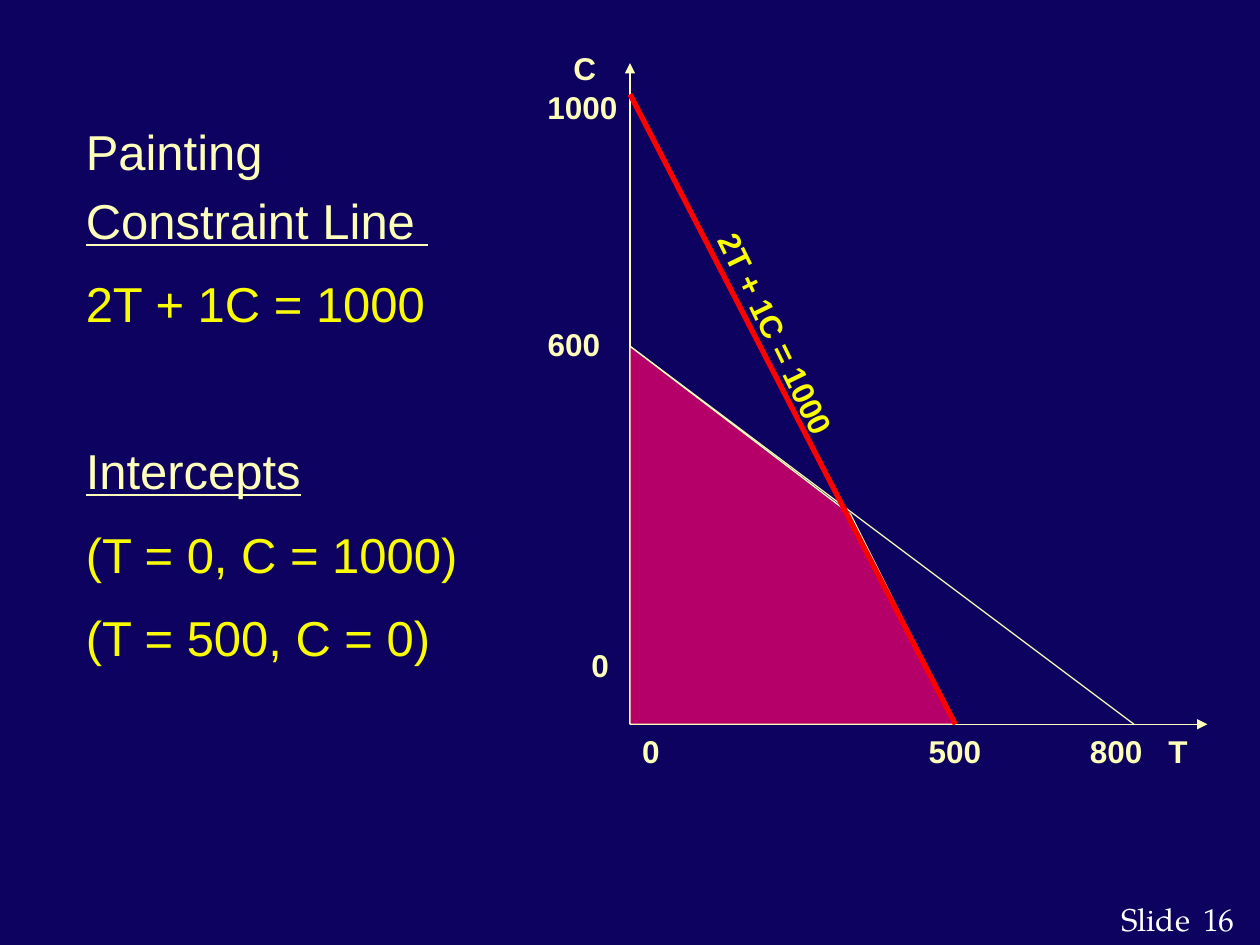
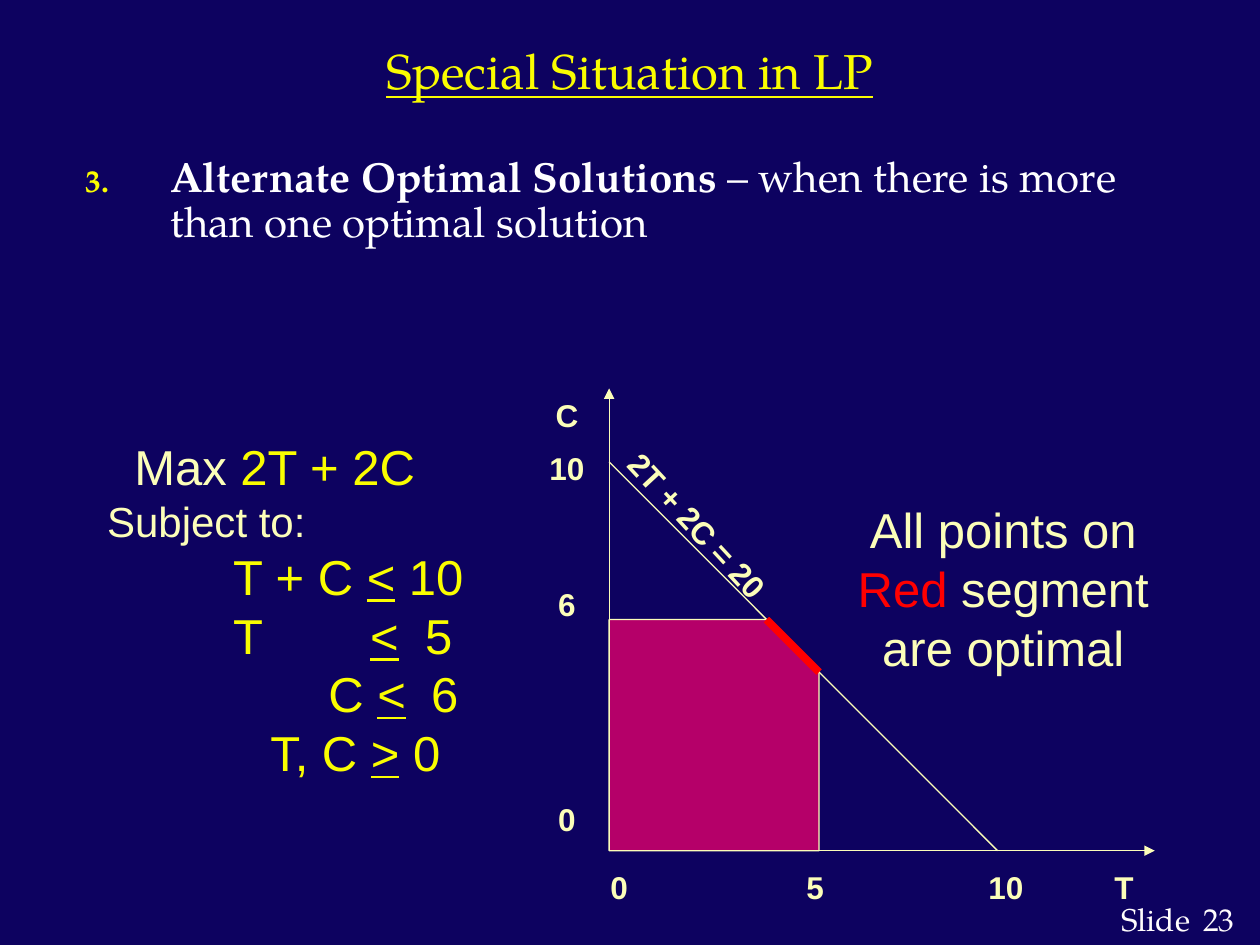
from lxml import etree
from pptx import Presentation
from pptx import util as u
from pptx.dml.color import RGBColor
from pptx.enum import shapes, text
from pptx.oxml import ns

Cm, Pt = u.Cm, u.Pt
NAVY, CREAM, YELLOW = "0D0260", "FCFEB9", "FAFD00"
MAGENTA, RED, WHITE, FOOTER = "B50069", "FF0000", "FFFFFF", "FFFCFD"
SANS, SERIF = "Arial", "TeX Gyre Pagella"
LEFT, CENTER = text.PP_ALIGN.LEFT, text.PP_ALIGN.CENTER


def color(hex_code):
    return RGBColor.from_string(hex_code)


def add_xml(parent, tag, **attributes):
    return etree.SubElement(parent, ns.qn(tag), attributes)


def add_span(para, words, hex_code=CREAM, size=28, font=SANS, bold=False, underline=False):
    span = para.add_run()
    span.text = words
    span.font.name, span.font.size = font, Pt(size)
    span.font.bold, span.font.underline = bold, underline
    span.font.color.rgb = color(hex_code)


def add_box(page, left, top, width, height, anchor=text.MSO_ANCHOR.TOP):
    box = page.shapes.add_textbox(Cm(left), Cm(top), Cm(width), Cm(height))
    frame = box.text_frame
    frame.word_wrap = True
    frame.vertical_anchor = anchor
    frame.margin_left = frame.margin_right = frame.margin_top = frame.margin_bottom = 0
    return box


def add_para(box, align=LEFT, space_before=0):
    """Return the box's empty first paragraph, or a new one after it."""
    frame = box.text_frame
    para = frame.paragraphs[0]
    if para.runs:
        para = frame.add_paragraph()
    para.alignment, para.space_before = align, Pt(space_before)
    return para


def add_label(page, words, x, y, hex_code=CREAM, font=SANS, bold=True, angle=0):
    """Place one line of text centred on (x, y)."""
    width, height = (5, 0.8) if angle else (1.6, 0.8)
    box = add_box(page, x - width / 2, y - height / 2, width, height, text.MSO_ANCHOR.MIDDLE)
    box.rotation = angle
    add_span(add_para(box, CENTER), words, hex_code, 18, font, bold)


def add_line(page, start, end, hex_code=CREAM, width=0.75, arrow=False):
    points = [Cm(value) for value in (*start, *end)]
    line = page.shapes.add_connector(shapes.MSO_CONNECTOR.STRAIGHT, *points)
    line.line.color.rgb, line.line.width = color(hex_code), Pt(width)
    if arrow:
        add_xml(line.line._get_or_add_ln(), "a:tailEnd", type="triangle", w="med", len="med")
    add_xml(line._element.spPr, "a:effectLst")


def add_axes(page, origin, right, top):
    add_line(page, origin, (right, origin[1]), arrow=True)
    add_line(page, origin, (origin[0], top), arrow=True)


def add_region(page, corners):
    points = [(Cm(x), Cm(y)) for x, y in corners]
    builder = page.shapes.build_freeform(*points[0])
    builder.add_line_segments(points[1:], close=True)
    region = builder.convert_to_shape()
    region.shadow.inherit = False
    region.fill.solid()
    region.fill.fore_color.rgb = color(MAGENTA)
    region.line.color.rgb, region.line.width = color(CREAM), Pt(0.75)


def add_tabbed_row(box, stops, *spans):
    """Add a yellow row whose tabs stop at the given positions."""
    para = add_para(box)
    tabs = add_xml(para._p.get_or_add_pPr(), "a:tabLst")
    for stop in stops:
        add_xml(tabs, "a:tab", pos=str(Cm(stop)), algn="l")
    for words in spans:
        add_span(para, words, YELLOW, underline=words in ("<", ">"))


def add_numbered_para(box, number, indent):
    para = add_para(box)
    para.line_spacing = 0.9
    props = para._p.get_or_add_pPr()
    props.set("marL", str(Cm(indent)))
    props.set("indent", str(-Cm(indent)))
    add_xml(add_xml(props, "a:buClr"), "a:srgbClr", val=YELLOW)
    add_xml(props, "a:buSzPct", val="75000")
    add_xml(props, "a:buFont", typeface=SERIF)
    add_xml(props, "a:buAutoNum", type="arabicPeriod", startAt=str(number))
    return para


def add_page(deck, number):
    page = deck.slides.add_slide(deck.slide_layouts[6])
    page.background.fill.solid()
    page.background.fill.fore_color.rgb = color(NAVY)
    for words, x in (("Slide", 23.3), (str(number), 24.57)):
        add_label(page, words, x, 18.53, FOOTER, SERIF, bold=False)
    return page


def add_painting_page(deck):
    page = add_page(deck, 16)
    notes = add_box(page, 1.73, 2.46, 11, 11.5)
    for words, hex_code, underline, gap in (
        ("Painting", CREAM, False, 0),
        ("Constraint Line ", CREAM, True, 5.6),
        ("2T + 1C = 1000", YELLOW, False, 14),
        ("Intercepts", CREAM, True, 61.7),
        ("(T = 0, C = 1000)", YELLOW, False, 14),
        ("(T = 500, C = 0)", YELLOW, False, 14),
    ):
        add_span(add_para(notes, space_before=gap), words, hex_code, underline=underline)

    origin, t_500, t_800 = (12.7, 14.6), (19.26, 14.6), (22.86, 14.6)
    c_600, c_1000, crossing = (12.7, 6.98), (12.7, 1.9), (17.15, 10.37)
    add_axes(page, origin, right=24.34, top=1.27)
    for words, x in (("0", 13.12), ("500", 19.25), ("800", 22.5), ("T", 23.75)):
        add_label(page, words, x, 15.13)
    for words, x, y in (("C", 11.79, 1.37), ("1000", 11.74, 2.16),
                        ("600", 11.57, 6.93), ("0", 12.1, 13.4)):
        add_label(page, words, x, y)
    add_label(page, "2T + 1C = 1000", 15.64, 6.73, YELLOW, angle=64)
    add_line(page, c_600, t_800)
    add_region(page, (origin, c_600, crossing, t_500))
    add_line(page, t_500, c_1000, RED, 3)


def add_alternate_page(deck):
    page = add_page(deck, 23)
    title = add_box(page, 1.47, 0.28, 22.45, 2.26, text.MSO_ANCHOR.MIDDLE)
    add_span(add_para(title, CENTER), "Special Situation in LP", YELLOW, font=SERIF, underline=True)
    body = add_box(page, 1.73, 3.15, 22, 4.2)
    para = add_numbered_para(body, 3, indent=1.7)
    add_span(para, "Alternate Optimal Solutions", WHITE, 24, SERIF, bold=True)
    add_span(para, " – when there is more than one optimal solution", WHITE, 24, SERIF)

    model = add_box(page, 2.16, 8.81, 8.6, 7)
    goal = add_para(model)
    goal._p.get_or_add_pPr().set("marL", str(Cm(0.55)))
    add_span(goal, "Max ")
    add_span(goal, "2T + 2C", YELLOW)
    add_span(add_para(model), "Subject to:", size=24)
    add_tabbed_row(model, [2.54], "\tT + C ", "<", " 10")
    add_tabbed_row(model, [2.54, 5.3, 6.41], "\tT\t", "<", "\t5")
    add_tabbed_row(model, [4.46, 6.53], "\tC ", "<", "\t6")
    add_tabbed_row(model, [3.29], "\tT, C ", ">", " 0")

    origin, t_5, t_10 = (12.28, 17.15), (16.51, 17.15), (20.11, 17.15)
    c_6, c_10 = (12.28, 12.49), (12.28, 9.31)
    best_start, best_end = (15.45, 12.49), (16.51, 13.55)
    add_axes(page, origin, right=23.28, top=7.83)
    add_line(page, t_10, c_10)
    add_region(page, (origin, c_6, best_start, best_end, t_5))
    for words, x in (("0", 12.48), ("5", 16.43), ("10", 20.28), ("T", 22.66)):
        add_label(page, words, x, 17.88)
    for words, y in (("C", 8.36), ("10", 9.43), ("6", 12.18), ("0", 16.5)):
        add_label(page, words, 11.43, y)
    add_line(page, best_start, best_end, RED, 4.5)
    add_label(page, "2T + 2C = 20", 14.06, 10.59, angle=47.1)

    remark = add_para(add_box(page, 17.2, 10.08, 6.05, 3.6), CENTER)
    add_span(remark, "All points on ")
    add_span(remark, "Red", RED)
    add_span(remark, " segment are optimal")


def main():
    deck = Presentation()
    deck.slide_width, deck.slide_height = Cm(25.4), Cm(19.05)
    add_painting_page(deck)
    add_alternate_page(deck)
    deck.save("out.pptx")


if __name__ == "__main__":
    main()
